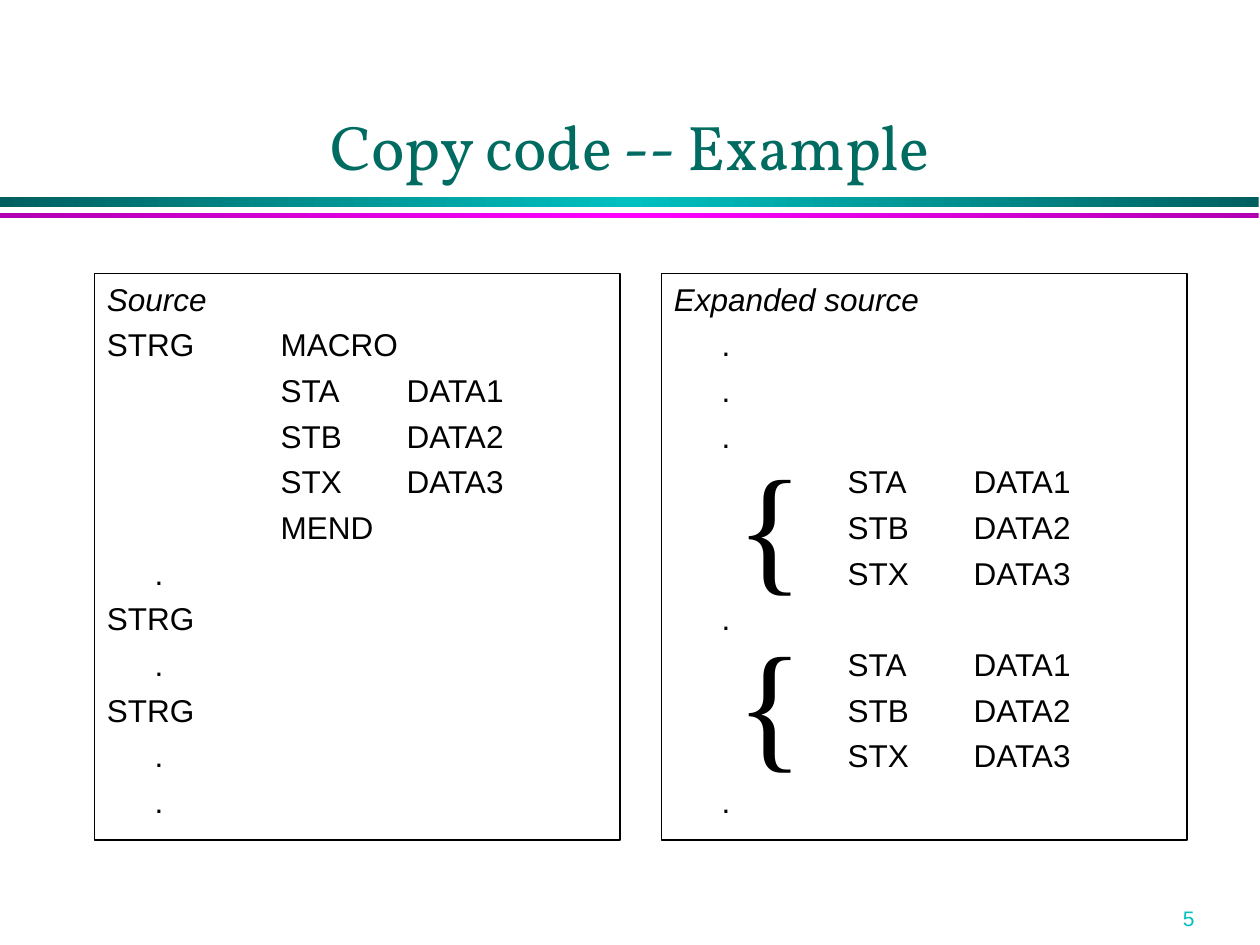
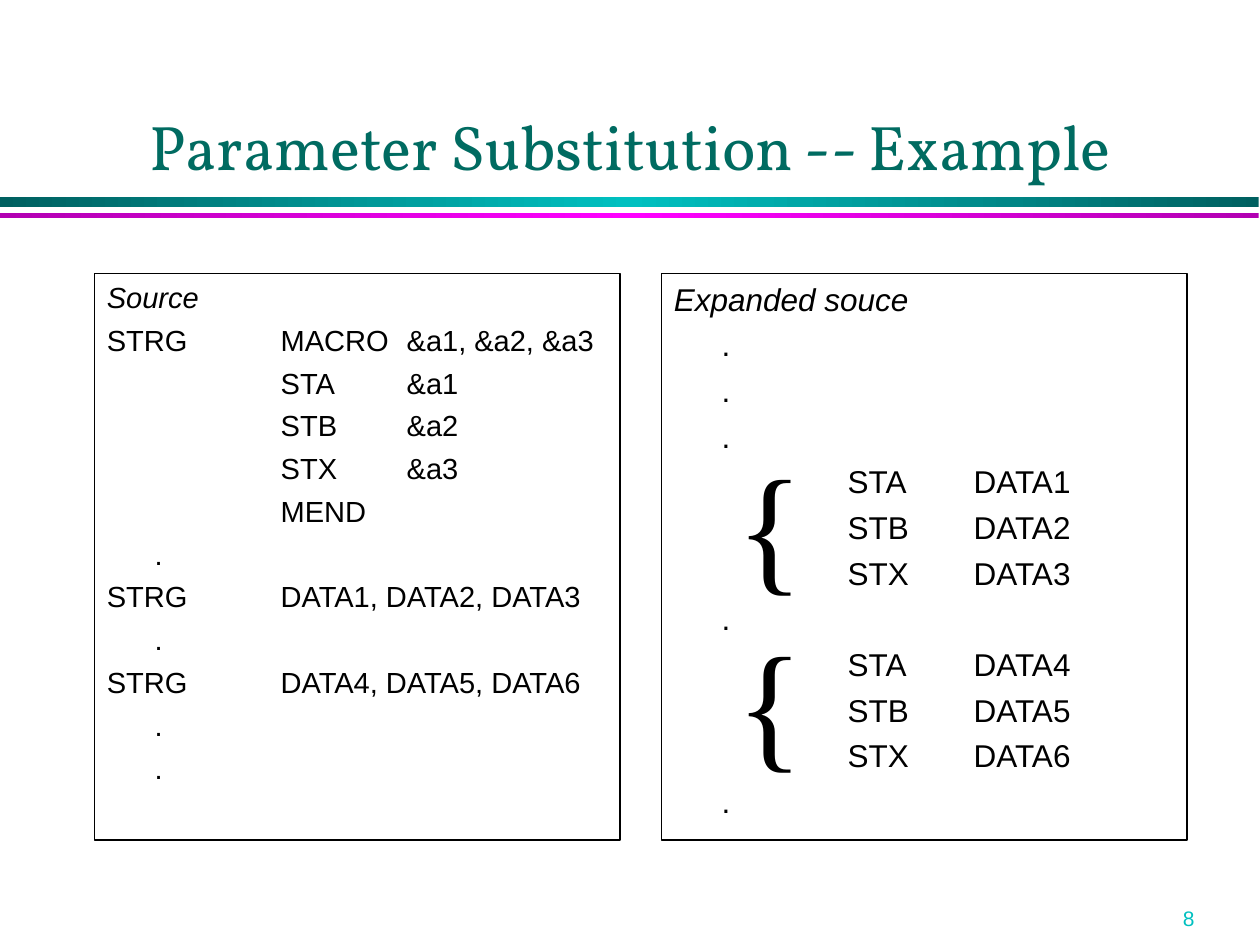
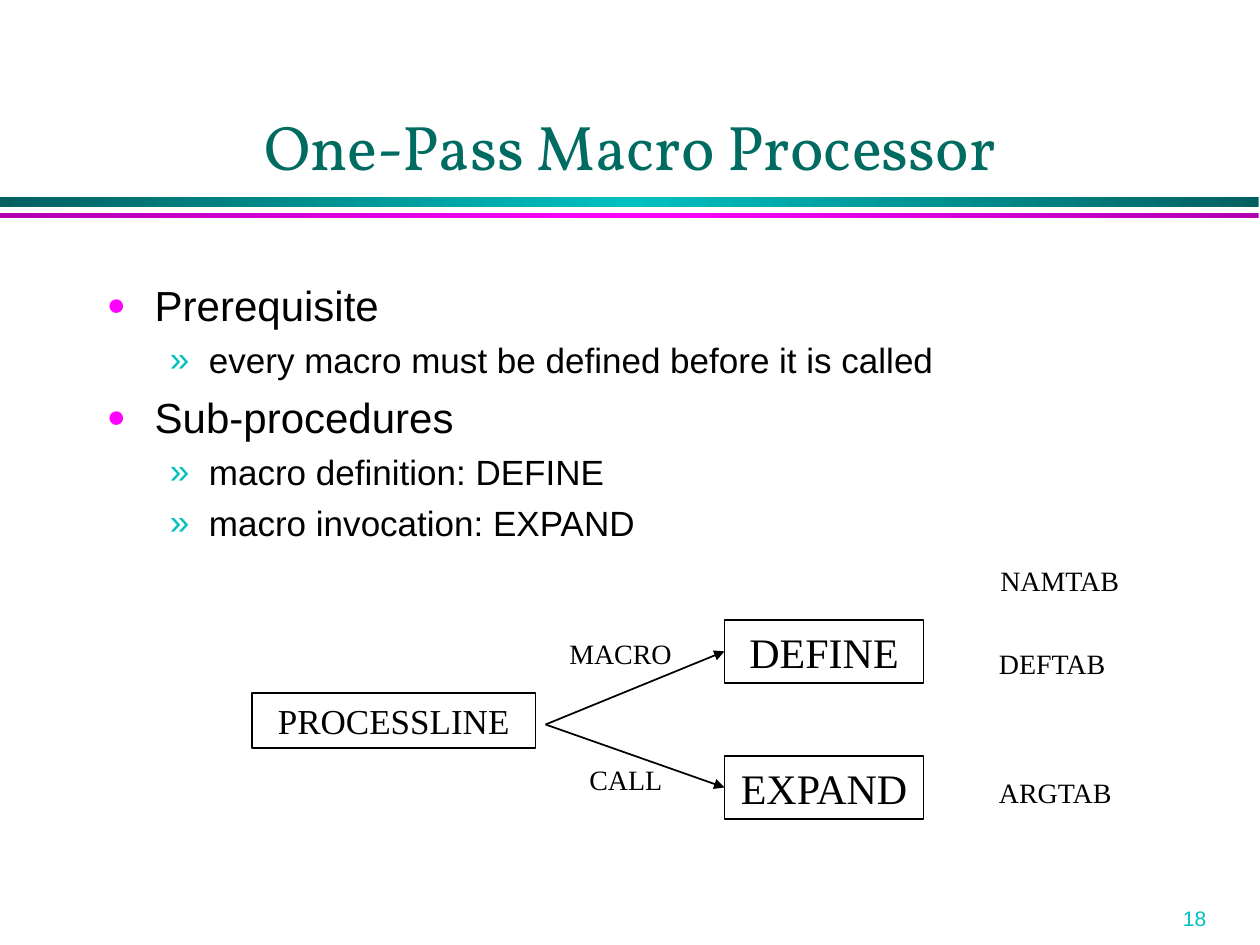
from copy import deepcopy
from dataclasses import dataclass
from typing import Optional

from lxml import etree
from pptx import Presentation
from pptx.dml import color
from pptx.enum import shapes, text
from pptx.oxml import ns
from pptx.util import Inches, Pt

BLACK = "000000"
TEAL = "00C0C0"
TITLE_GREEN = "006B61"
MAGENTA = "FF00FF"
SANS, SERIF, TITLE_FONT = "Arial", "Times New Roman", "Vollkorn"
TOP, HEIGHT = 2.17, 4.5
PANEL_WIDTH = 4.17
SOURCE_LEFT, EXPANDED_LEFT = 0.75, 5.25
TAB_STEP = 1
DOT = "\t."
OPERATIONS = ("STA", "STB", "STX")


@dataclass(frozen=True)
class Band:
    top: float
    height: float
    edge: str
    middle: str


@dataclass(frozen=True)
class Label:
    words: str
    left: float
    top: float
    width: float
    height: float
    size: float
    font: str = SERIF
    ink: str = BLACK
    framed: bool = False


@dataclass(frozen=True)
class Style:
    size: float
    before: float = 0
    margin: float = 0
    hanging: float = 0
    bullet: str = ""
    bullet_ink: str = BLACK
    bullet_percent: int = 100


@dataclass(frozen=True)
class Panel:
    left: float
    heading: str
    lines: list[str]
    size: float = 18


BANDS = (
    Band(1.56, 0.08, "006060", TEAL),
    Band(1.69, 0.04, "B200B2", MAGENTA),
)
TOPIC = Style(24, 6, 0.38, 0.38, "●", MAGENTA, 75)
DETAIL = Style(20, 5, 0.81, 0.31, "»", TEAL)
OUTLINE = (
    (TOPIC, "Prerequisite"),
    (DETAIL, "every macro must be defined before it is called"),
    (TOPIC, "Sub-procedures"),
    (DETAIL, "macro definition: DEFINE"),
    (DETAIL, "macro invocation: EXPAND"),
)
DIAGRAM = (
    Label("DEFINE", 5.75, 4.92, 1.58, 0.5, 24, framed=True),
    Label("EXPAND", 5.75, 6, 1.58, 0.5, 24, framed=True),
    Label("PROCESSLINE", 2, 5.5, 2.25, 0.44, 20, framed=True),
    Label("DEFTAB", 7.83, 5.08, 1.1, 0.37, 16),
    Label("NAMTAB", 7.84, 4.42, 1.18, 0.37, 16),
    Label("ARGTAB", 7.83, 6.11, 1.13, 0.37, 16),
    Label("MACRO", 4.42, 5, 1.03, 0.37, 16),
    Label("CALL", 4.58, 6, 0.8, 0.37, 16),
)
ARROW_START = (4.33, 5.75)
ARROW_ENDS = ((5.75, 5.17), (5.75, 6.25))


def rgb(value: str) -> color.RGBColor:
    return color.RGBColor.from_string(value)


def add_element(parent, tag: str, **attributes):
    return etree.SubElement(parent, ns.qn(tag), attributes)


def set_font(para, size: float, name: str, ink: str, italic: bool = False) -> None:
    para.font.size = Pt(size)
    para.font.name = name
    para.font.italic = italic
    para.font.color.rgb = rgb(ink)


def add_rectangle(page, left: float, top: float, width: float, height: float):
    box = page.shapes.add_shape(
        shapes.MSO_SHAPE.RECTANGLE, Inches(left), Inches(top), Inches(width), Inches(height)
    )
    box.shadow.inherit = False
    return box


def add_text_area(page, left: float, top: float, width: float, height: float, framed: bool):
    if framed:
        box = add_rectangle(page, left, top, width, height)
        box.fill.background()
        box.line.color.rgb = rgb(BLACK)
        box.line.width = Pt(1)
    else:
        box = page.shapes.add_textbox(Inches(left), Inches(top), Inches(width), Inches(height))
    box.text_frame.word_wrap = True
    box.text_frame.vertical_anchor = text.MSO_ANCHOR.TOP
    return box.text_frame


def add_band(page, band: Band) -> None:
    box = add_rectangle(page, 0, band.top, 9.99, band.height)
    box.line.fill.background()
    box.fill.gradient()
    box.fill.gradient_angle = 0
    stop_list = box._element.spPr.find(".//" + ns.qn("a:gsLst"))
    stop_list.append(deepcopy(stop_list[-1]))
    stops = zip(box.fill.gradient_stops, (0, 0.5, 1), (band.edge, band.middle, band.edge))
    for stop, position, ink in stops:
        stop.position = position
        stop.color.rgb = rgb(ink)


def add_label(page, label: Label) -> None:
    frame = add_text_area(page, label.left, label.top, label.width, label.height, label.framed)
    para = frame.paragraphs[0]
    para.text = label.words
    para.alignment = text.PP_ALIGN.CENTER if label.framed else text.PP_ALIGN.LEFT
    set_font(para, label.size, label.font, label.ink)


def add_para(frame, words: str, style: Style, italic: bool = False) -> None:
    first = not frame.paragraphs[0].runs
    para = frame.paragraphs[0] if first else frame.add_paragraph()
    para.add_run().text = words
    para.alignment = text.PP_ALIGN.LEFT
    properties = para._p.get_or_add_pPr()
    properties.set("marL", str(Inches(style.margin)))
    properties.set("indent", str(-Inches(style.hanging)))
    properties.set("defTabSz", str(Inches(TAB_STEP)))
    if style.bullet:
        ink = add_element(properties, "a:buClr")
        add_element(ink, "a:srgbClr", val=style.bullet_ink)
        add_element(properties, "a:buSzPct", val=str(style.bullet_percent * 1000))
        add_element(properties, "a:buFont", typeface=SANS)
        add_element(properties, "a:buChar", char=style.bullet)
    if not first:
        para.space_before = Pt(style.before)
    set_font(para, style.size, SANS, BLACK, italic)


def add_panel(page, panel: Panel) -> None:
    style = Style(panel.size, 4.5, 0.38, 0.38)
    frame = add_text_area(page, panel.left, TOP, PANEL_WIDTH, HEIGHT, True)
    add_para(frame, panel.heading, style, italic=True)
    for line in panel.lines:
        add_para(frame, line, style)


def add_arrow(page, start: tuple[float, float], end: tuple[float, float]) -> None:
    arrow = page.shapes.add_connector(
        shapes.MSO_CONNECTOR.STRAIGHT, *(Inches(value) for value in start + end)
    )
    arrow.line.color.rgb = rgb(BLACK)
    arrow.line.width = Pt(1)
    line = arrow._element.spPr.find(ns.qn("a:ln"))
    add_element(line, "a:tailEnd", type="triangle")
    add_element(arrow._element.spPr, "a:effectLst")


def add_page(deck, heading: str, number: int):
    page = deck.slides.add_slide(deck.slide_layouts[5])
    for band in BANDS:
        add_band(page, band)
    add_label(page, Label(str(number), 9.29, 7.14, 0.7, 0.3, 12, SANS, TEAL))
    title = page.shapes.title
    title.left, title.top = Inches(0.75), Inches(0.25)
    title.width, title.height = Inches(8.5), Inches(1.25)
    frame = title.text_frame
    frame.text = heading
    frame.word_wrap = True
    frame.auto_size = text.MSO_AUTO_SIZE.NONE
    frame.vertical_anchor = text.MSO_ANCHOR.BOTTOM
    frame.paragraphs[0].alignment = text.PP_ALIGN.CENTER
    set_font(frame.paragraphs[0], 36, TITLE_FONT, TITLE_GREEN)
    return page


def operation_lines(operands: tuple[str, ...]) -> list[str]:
    return [f"\t\t{name}\t{operand}" for name, operand in zip(OPERATIONS, operands)]


def data_names(first: int) -> tuple[str, ...]:
    return tuple(f"DATA{first + step}" for step in range(3))


def source_lines(
    operands: tuple[str, ...], parameters: Optional[str], calls: tuple[str, ...]
) -> list[str]:
    header = "STRG\tMACRO" + (f"\t{parameters}" if parameters else "")
    lines = [header, *operation_lines(operands), "\t\tMEND", DOT]
    for call in calls:
        lines += [call, DOT]
    return lines + [DOT]


def add_macro_page(deck, heading: str, number: int, source: Panel, expanded: Panel) -> None:
    page = add_page(deck, heading, number)
    add_panel(page, source)
    add_panel(page, expanded)
    for top in (3.42, 4.83):
        add_label(page, Label("{", 5.75, top, 0.61, 1.44, 80))


def expanded_panel(heading: str, second_call: int) -> Panel:
    first_block = operation_lines(data_names(1))
    second_block = operation_lines(data_names(second_call))
    lines = [DOT] * 3 + first_block + [DOT] + second_block + [DOT]
    return Panel(EXPANDED_LEFT, heading, lines)


def add_processor_page(deck) -> None:
    page = add_page(deck, "One-Pass Macro Processor", 18)
    frame = add_text_area(page, SOURCE_LEFT, TOP, 8.5, HEIGHT, False)
    for style, words in OUTLINE:
        add_para(frame, words, style)
    for label in DIAGRAM:
        add_label(page, label)
    for end in ARROW_ENDS:
        add_arrow(page, ARROW_START, end)


def main() -> None:
    deck = Presentation()
    deck.slide_width, deck.slide_height = Inches(10), Inches(7.5)
    copied = source_lines(data_names(1), None, ("STRG", "STRG"))
    add_macro_page(
        deck, "Copy code -- Example", 5,
        Panel(SOURCE_LEFT, "Source", copied),
        expanded_panel("Expanded source", 1),
    )
    calls = tuple("STRG\t" + ", ".join(data_names(first)) for first in (1, 4))
    substituted = source_lines(("&a1", "&a2", "&a3"), "&a1, &a2, &a3", calls)
    add_macro_page(
        deck, "Parameter Substitution -- Example", 8,
        Panel(SOURCE_LEFT, "Source", substituted, 16.6),
        expanded_panel("Expanded souce", 4),
    )
    add_processor_page(deck)
    deck.save("out.pptx")


if __name__ == "__main__":
    main()
